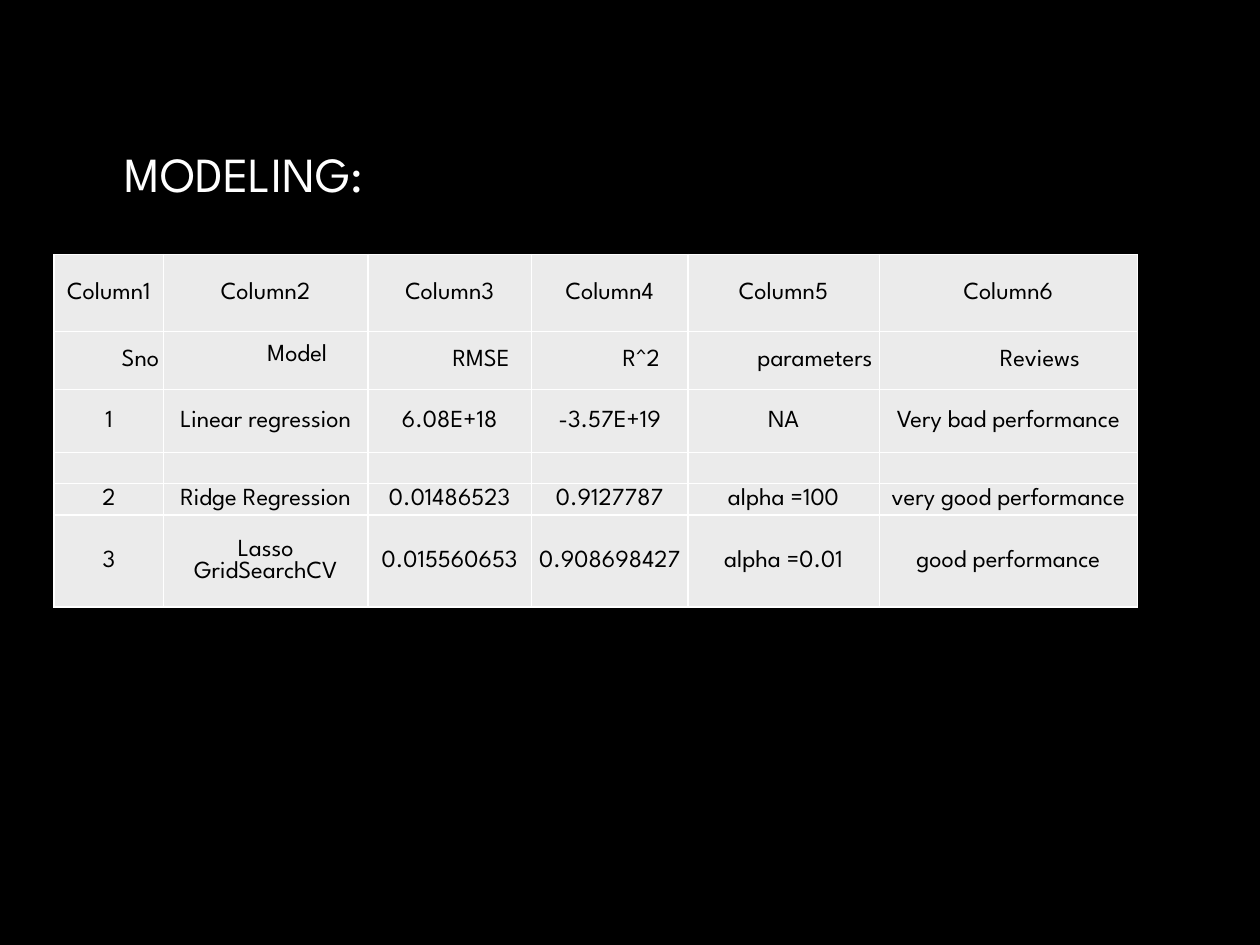
from lxml.etree import SubElement
from pptx import Presentation
from pptx.dml.color import RGBColor
from pptx.enum.text import MSO_ANCHOR, PP_ALIGN
from pptx.oxml.ns import qn
from pptx.util import Inches, Pt

COLORS = {
    "background": "000000",
    "title_top": "FFFFFF",
    "title_bottom": "BFBFBF",
    "cell": "EBEBEB",
    "text": "000000",
    "border": "FFFFFF",
}
FONT = "League Spartan"
CELL_SIZE = 14
COLUMN_WIDTHS = [0.87, 1.62, 1.3, 1.24, 1.52, 2.05]
ROW_HEIGHTS = [0.61, 0.46, 0.5, 0.24, 0.25, 0.73]
HEADING_ROW = 1
ROWS = [
    [f"Column{number}" for number in range(1, 7)],
    ["Sno", "Model", "RMSE", "R^2", "parameters", "Reviews"],
    ["1", "Linear regression", "6.08E+18", "-3.57E+19", "NA", "Very bad performance"],
    [""] * 6,
    ["2", "Ridge Regression", "0.01486523", "0.9127787", "alpha =100", "very good performance"],
    ["3", "Lasso GridSearchCV", "0.015560653", "0.908698427", "alpha =0.01", "good performance"],
]


def rgb(name):
    return RGBColor.from_string(COLORS[name])


def write_text(frame, text, size=CELL_SIZE, color="text", align=PP_ALIGN.CENTER,
               indent=0, line_spacing=None):
    para = frame.paragraphs[0]
    para.alignment = align
    para.line_spacing = line_spacing
    if indent:
        para.level = 1
        properties = para._p.get_or_add_pPr()
        properties.set("marL", str(Inches(indent)))
        properties.set("indent", "0")
    if not text:
        SubElement(para._p, qn("a:endParaRPr"), sz=str(size * 100))
        return None
    span = para.add_run()
    span.text = text
    span.font.size = Pt(size)
    span.font.name = FONT
    span.font.color.rgb = rgb(color)
    return span


def add_title(slide, text):
    title = slide.shapes.title
    title.left, title.top = Inches(0.89), Inches(0.65)
    title.width, title.height = Inches(8.21), Inches(1.44)
    title.text_frame.vertical_anchor = MSO_ANCHOR.MIDDLE
    span = write_text(title.text_frame, text, size=28, color="title_top", align=PP_ALIGN.LEFT)
    fill = span.font.fill
    fill.gradient()
    fill.gradient_angle = 270
    for stop, name, position in zip(fill.gradient_stops, ("title_top", "title_bottom"), (0, 1)):
        stop.color.rgb = rgb(name)
        stop.position = position


def add_borders(cell):
    properties = cell._tc.get_or_add_tcPr()
    for position, side in enumerate(("a:lnL", "a:lnR", "a:lnT", "a:lnB")):
        line = SubElement(properties, qn(side), w=str(Pt(1)))
        fill = SubElement(line, qn("a:solidFill"))
        SubElement(fill, qn("a:srgbClr"), val=COLORS["border"])
        properties.insert(position, line)


def format_cell(cell, text, **text_format):
    cell.fill.solid()
    cell.fill.fore_color.rgb = rgb("cell")
    cell.margin_left = cell.margin_right = cell.margin_top = Inches(0.01)
    cell.margin_bottom = 0
    cell.vertical_anchor = MSO_ANCHOR.MIDDLE
    write_text(cell.text_frame, text, **text_format)
    add_borders(cell)


def add_results_table(slide):
    frame = slide.shapes.add_table(
        len(ROW_HEIGHTS), len(COLUMN_WIDTHS), Inches(0.43), Inches(2.02),
        Inches(sum(COLUMN_WIDTHS)), Inches(sum(ROW_HEIGHTS)))
    table = frame.table
    table.first_row = table.horz_banding = False
    for column, width in zip(table.columns, COLUMN_WIDTHS):
        column.width = Inches(width)
    for row, height in zip(table.rows, ROW_HEIGHTS):
        row.height = Inches(height)
    for row_index, texts in enumerate(ROWS):
        indent = 0.5 if row_index == HEADING_ROW else 0
        for column_index, text in enumerate(texts):
            cell = table.cell(row_index, column_index)
            line_spacing = 1.5 if text == "Model" else None
            format_cell(cell, text, indent=indent, line_spacing=line_spacing)
    model_cell = table.cell(HEADING_ROW, 1)
    model_cell.vertical_anchor = MSO_ANCHOR.BOTTOM
    model_cell.margin_bottom = Inches(0.18)


def main():
    deck = Presentation()
    deck.slide_width, deck.slide_height = Inches(10), Inches(7.5)
    slide = deck.slides.add_slide(deck.slide_layouts[5])
    slide.background.fill.solid()
    slide.background.fill.fore_color.rgb = rgb("background")
    add_title(slide, "MODELING:")
    add_results_table(slide)
    deck.save("out.pptx")


if __name__ == "__main__":
    main()
